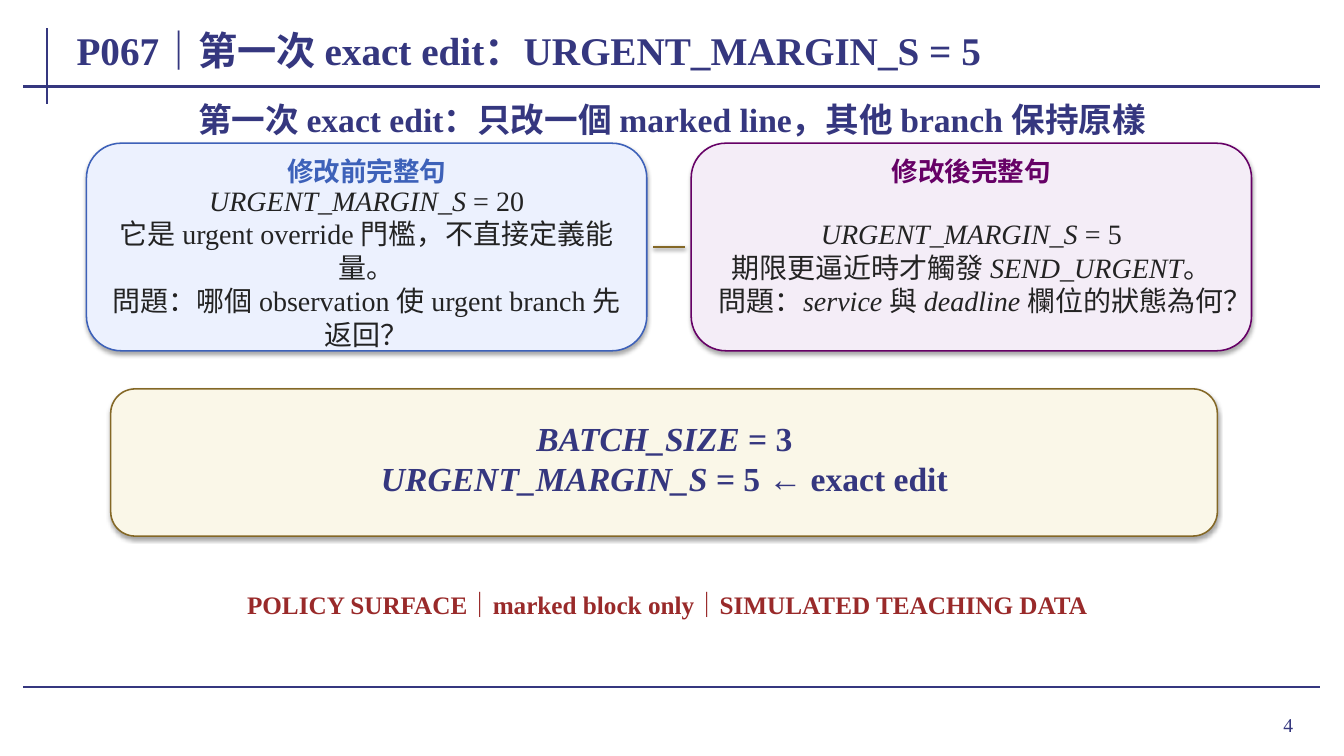
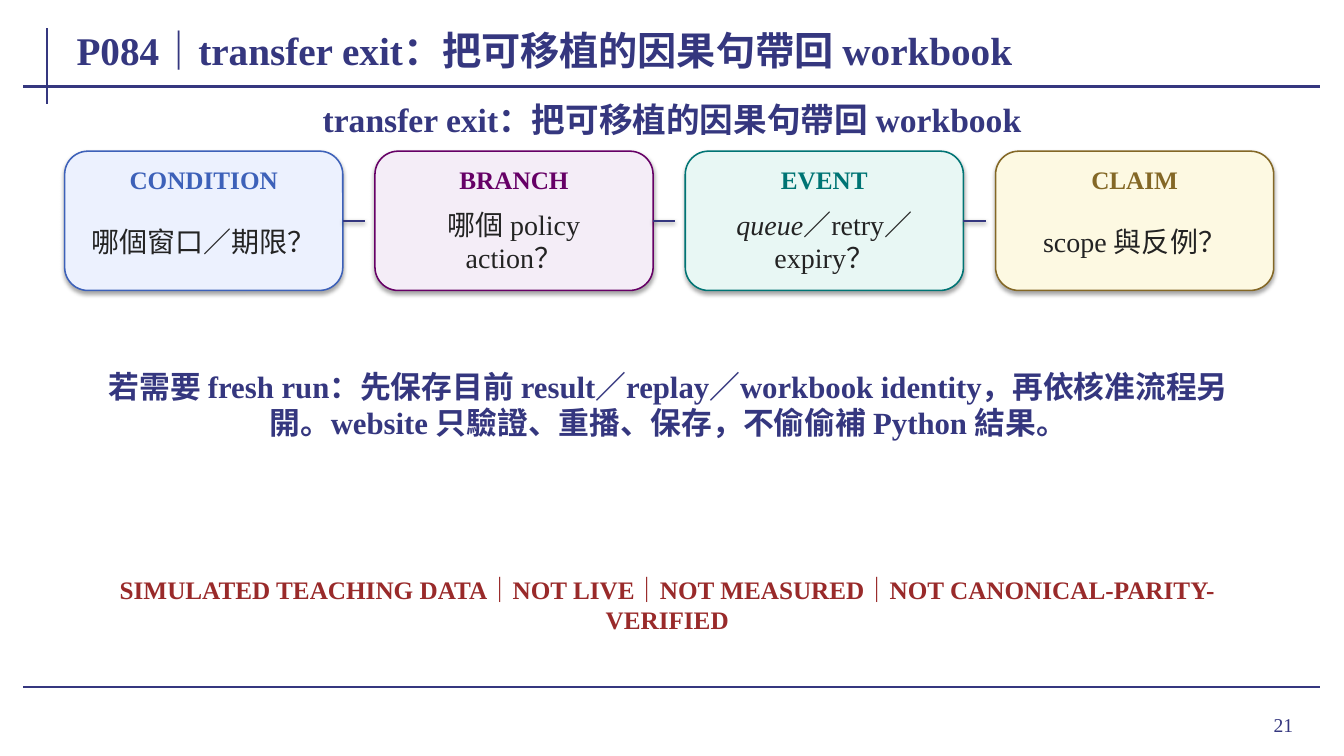
from dataclasses import dataclass
from typing import NamedTuple

from lxml.etree import SubElement
from pptx import Presentation
from pptx.dml.color import RGBColor
from pptx.enum.shapes import MSO_CONNECTOR, MSO_SHAPE
from pptx.enum.text import MSO_ANCHOR, MSO_AUTO_SIZE, PP_ALIGN
from pptx.oxml.ns import qn
from pptx.util import Cm, Pt

FONT = "Times New Roman"
COLORS = {
    "navy": "35377F", "ink": "232323", "red": "992A2A",
    "blue": "3D61B9", "purple": "660066", "teal": "007474", "gold": "846826",
    "blue_tint": "ECF1FE", "purple_tint": "F4EDF7", "teal_tint": "E8F7F4",
    "gold_tint": "FDF9E2", "cream": "FAF7E8",
}


class Area(NamedTuple):
    """A rectangle in centimetres."""
    left: float
    top: float
    width: float
    height: float


class Span(NamedTuple):
    text: str
    italic: bool = False


class Style(NamedTuple):
    size: float
    color: str
    bold: bool = True
    align: PP_ALIGN = PP_ALIGN.CENTER


Lines = list[list[Span]]


@dataclass
class Card:
    color: str
    heading: str
    lines: Lines


@dataclass
class CardRow:
    """Equal cards, joined by short links, laid out from the first card."""
    first: Area
    gap: float
    heading_size: float
    link_start: float
    link_length: float
    link_color: str
    link_weight: float
    cards: list[Card]


TITLE_AREA = Area(1.73, 0.46, 30.35, 1.57)
SUBTITLE_AREA = Area(2.18, 2.39, 29.51, 1.22)
NOTICE_AREA = Area(1.83, 14.88, 29.97, 0.69)
NUMBER_AREA = Area(30.38, 17.6, 2.46, 1.32)
FRAME_LINES = [(1.19, 0.71, 1.19, 2.62), (0.58, 2.18, 33.27, 2.18),
               (0.58, 17.32, 33.27, 17.32)]
TITLE = Style(28, "navy", align=PP_ALIGN.LEFT)
SUBTITLE = Style(24, "navy")
BODY = Style(20, "ink", bold=False)
NOTICE = Style(18, "red")
NUMBER = Style(14, "navy", bold=False, align=PP_ALIGN.RIGHT)


def rgb(name: str) -> RGBColor:
    return RGBColor.from_string(COLORS[name])


def lengths(area: Area) -> list[Cm]:
    return [Cm(value) for value in area]


def set_shadow(shape, opacity: int = 0, distance: float = 0) -> None:
    """Replace the theme shadow; no opacity means no shadow."""
    properties = shape._element.spPr
    effects = SubElement(properties, qn("a:effectLst"))
    if opacity:
        shadow = SubElement(effects, qn("a:outerShdw"), blurRad=str(Pt(3.1)),
                            dist=str(Pt(distance)), dir="5400000",
                            algn="ctr", rotWithShape="0")
        color = SubElement(shadow, qn("a:srgbClr"), val="000000")
        SubElement(color, qn("a:alpha"), val=str(opacity * 1000))


def write_text(box, lines: Lines, style: Style) -> None:
    frame = box.text_frame
    frame.word_wrap = True
    frame.vertical_anchor = MSO_ANCHOR.MIDDLE
    frame.margin_left = frame.margin_right = Cm(0.2)
    frame.margin_top = frame.margin_bottom = Cm(0.1)
    for index, line in enumerate(lines):
        para = frame.paragraphs[0] if index == 0 else frame.add_paragraph()
        para.alignment = style.align
        for span in line:
            run = para.add_run()
            run.text = span.text
            run.font.name = FONT
            run.font.size = Pt(style.size)
            run.font.bold = style.bold
            run.font.italic = span.italic
            run.font.color.rgb = rgb(style.color)


def add_text(page, area: Area, lines: Lines, style: Style):
    box = page.shapes.add_textbox(*lengths(area))
    write_text(box, lines, style)
    box.text_frame.auto_size = MSO_AUTO_SIZE.SHAPE_TO_FIT_TEXT
    return box


def add_line(page, ends: tuple[float, float, float, float],
             color: str = "navy", weight: float = 1.5, opacity: int = 0) -> None:
    line = page.shapes.add_connector(MSO_CONNECTOR.STRAIGHT,
                                     *[Cm(value) for value in ends])
    line.line.color.rgb = rgb(color)
    line.line.width = Pt(weight)
    set_shadow(line, opacity, 1.6)


def add_panel(page, area: Area, fill: str, outline: str) -> None:
    panel = page.shapes.add_shape(MSO_SHAPE.ROUNDED_RECTANGLE, *lengths(area))
    panel.fill.solid()
    panel.fill.fore_color.rgb = rgb(fill)
    panel.line.color.rgb = rgb(outline)
    panel.line.width = Pt(1.1)
    set_shadow(panel, 35, 1.8)


def add_card_row(page, row: CardRow) -> None:
    first_left, top, width, height = row.first
    for index, card in enumerate(row.cards):
        left = first_left + index * (width + row.gap)
        add_panel(page, Area(left, top, width, height),
                  f"{card.color}_tint", card.color)
        add_text(page, Area(left + 0.36, top + 0.3, width - 0.72, 0.81),
                 [[Span(card.heading)]], Style(row.heading_size, card.color))
        add_text(page, Area(left + 0.41, top + 1.32, width - 0.82, height - 1.63),
                 card.lines, BODY)
        if index < len(row.cards) - 1:
            start = left + width + row.link_start
            middle = top + height / 2
            add_line(page, (start, middle, start + row.link_length, middle),
                     row.link_color, row.link_weight, 38)


def add_page(deck, number: int, title: str, subtitle: str, notice: str):
    """Add a page with the shared frame, title, subtitle, notice and number."""
    page = deck.slides.add_slide(deck.slide_layouts[5])
    for ends in FRAME_LINES:
        add_line(page, ends)
    heading = page.shapes.title
    heading.left, heading.top, heading.width, heading.height = lengths(TITLE_AREA)
    write_text(heading, [[Span(title)]], TITLE)
    heading.text_frame.auto_size = MSO_AUTO_SIZE.NONE
    add_text(page, SUBTITLE_AREA, [[Span(subtitle)]], SUBTITLE)
    add_text(page, NOTICE_AREA, [[Span(notice)]], NOTICE)
    number_box = add_text(page, NUMBER_AREA, [[Span(str(number))]], NUMBER)
    number_box.text_frame.auto_size = MSO_AUTO_SIZE.NONE
    number_box.text_frame.margin_right = Cm(0.25)
    return page


# Before and after the edit
EDIT_ROW = CardRow(
    Area(2.18, 3.61, 14.12, 5.23), 1.12, 19, 0.16, 0.81, "gold", 2,
    [
        Card("blue", "修改前完整句", [
            [Span("URGENT_MARGIN_S", True), Span(" = 20")],
            [Span("它是 urgent override 門檻，不直接定義能量。")],
            [Span("問題：哪個 observation 使 urgent branch 先返回？")],
        ]),
        Card("purple", "修改後完整句", [
            [Span("URGENT_MARGIN_S", True), Span(" = 5")],
            [Span("期限更逼近時才觸發 "), Span("SEND_URGENT", True), Span("。")],
            [Span("問題："), Span("service", True), Span(" 與 "),
             Span("deadline", True), Span(" 欄位的狀態為何？")],
        ]),
    ],
)
EDIT_CODE: Lines = [
    [Span("BATCH_SIZE", True), Span(" = 3")],
    [Span("URGENT_MARGIN_S", True), Span(" = 5 ← exact edit")],
]

# The four parts of a causal sentence
CAUSAL_ROW = CardRow(
    Area(1.63, 3.81, 7.01, 3.51), 0.81, 18, 0, 0.56, "navy", 1.5,
    [
        Card("blue", "CONDITION", [[Span("哪個窗口／期限？")]]),
        Card("purple", "BRANCH", [[Span("哪個 policy action？")]]),
        Card("teal", "EVENT", [[Span("queue", True), Span("／retry／expiry？")]]),
        Card("gold", "CLAIM", [[Span("scope 與反例？")]]),
    ],
)
FRESH_RUN = ("若需要 fresh run：先保存目前 result／replay／workbook identity，"
             "再依核准流程另開。website 只驗證、重播、保存，不偷偷補 Python 結果。")


def build_edit_page(deck) -> None:
    page = add_page(deck, 4, "P067｜第一次 exact edit：URGENT_MARGIN_S = 5",
                    "第一次 exact edit：只改一個 marked line，其他 branch 保持原樣",
                    "POLICY SURFACE｜marked block only｜SIMULATED TEACHING DATA")
    add_card_row(page, EDIT_ROW)
    add_panel(page, Area(2.79, 9.8, 27.89, 3.71), "cream", "gold")
    add_text(page, Area(3.51, 10.46, 26.47, 2.18), EDIT_CODE, SUBTITLE)


def build_transfer_page(deck) -> None:
    topic = "transfer exit：把可移植的因果句帶回 workbook"
    page = add_page(deck, 21, f"P084｜{topic}", topic,
                    "SIMULATED TEACHING DATA｜NOT LIVE｜NOT MEASURED｜"
                    "NOT CANONICAL-PARITY-VERIFIED")
    add_card_row(page, CAUSAL_ROW)
    add_text(page, Area(2.44, 8.79, 28.8, 2.79), [[Span(FRESH_RUN)]],
             Style(22, "navy"))


def main() -> None:
    deck = Presentation()
    deck.slide_width, deck.slide_height = Cm(33.87), Cm(19.05)
    build_edit_page(deck)
    build_transfer_page(deck)
    deck.save("out.pptx")


if __name__ == "__main__":
    main()
